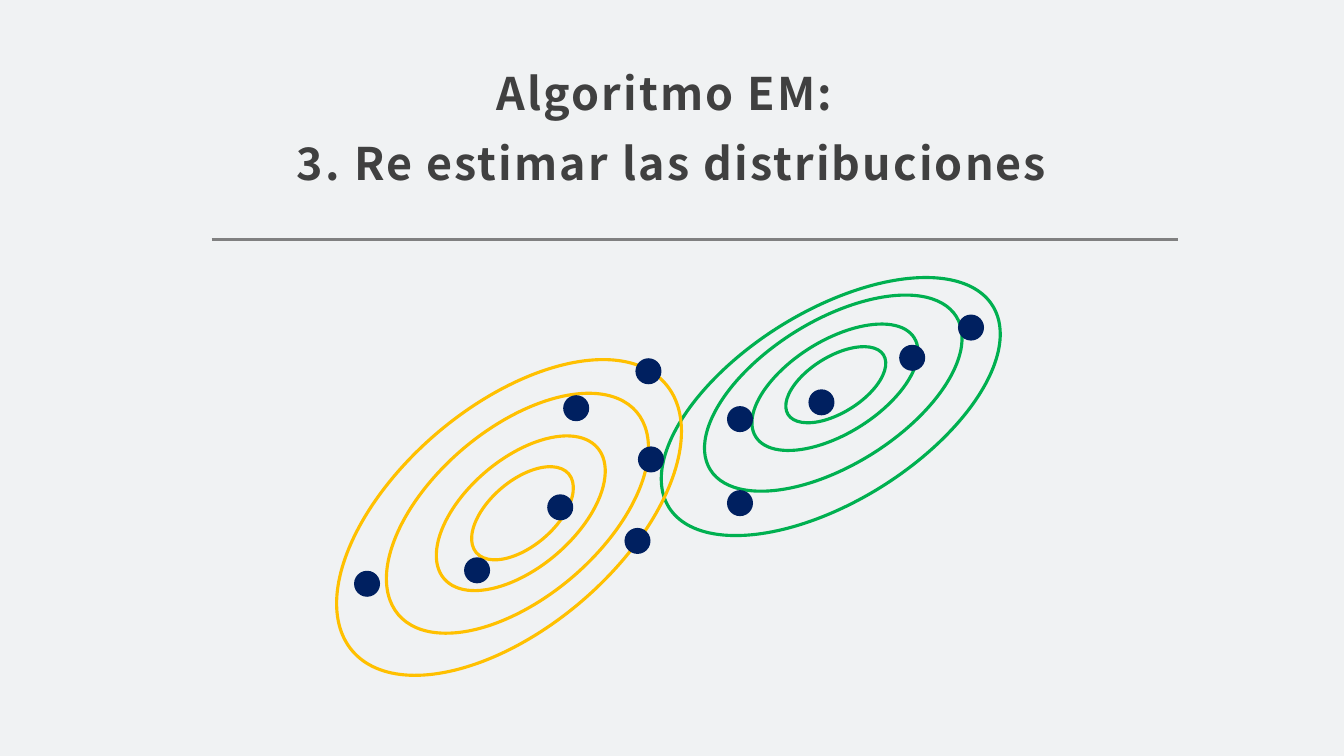
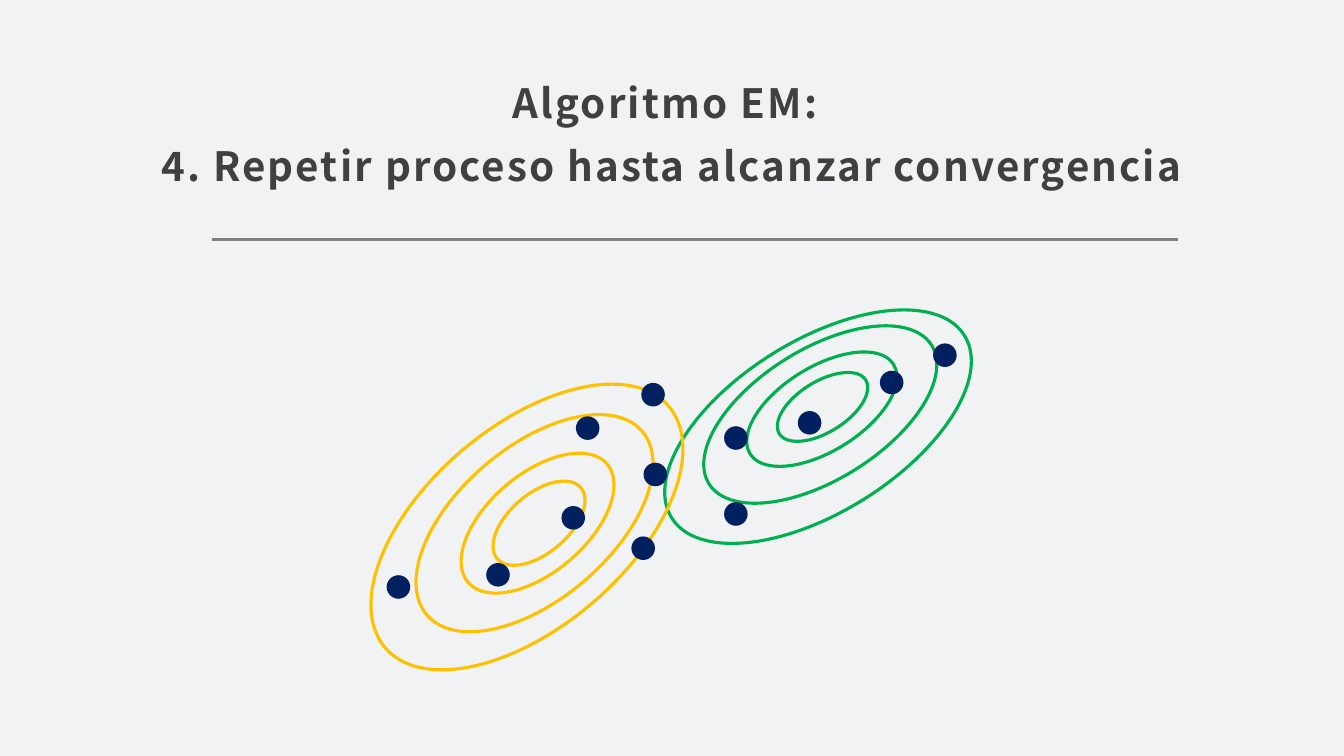
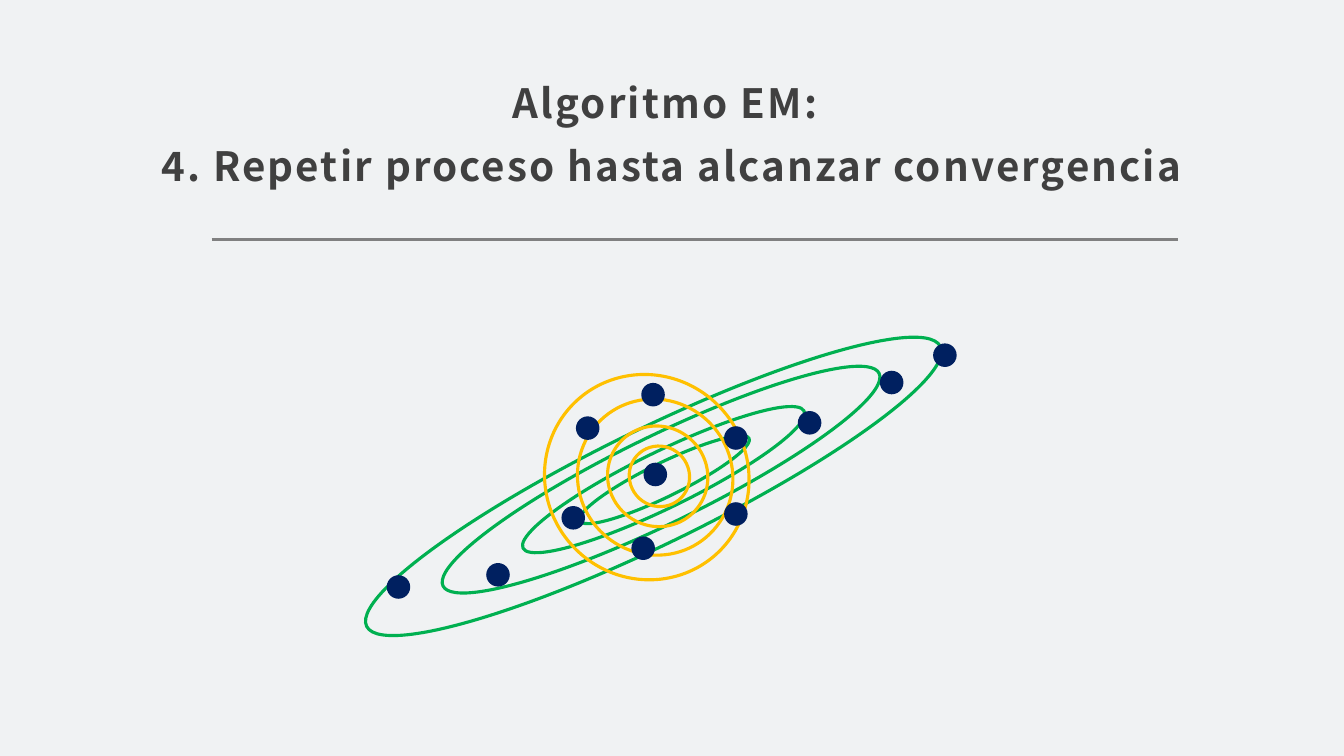
"""Build three slides on the last steps of the EM algorithm."""
from copy import deepcopy
from dataclasses import dataclass, replace
from typing import NamedTuple

from pptx import Presentation
from pptx.dml.color import RGBColor
from pptx.enum.shapes import MSO_CONNECTOR as Connector
from pptx.enum.shapes import MSO_SHAPE as Preset
from pptx.enum.text import MSO_ANCHOR as Anchor
from pptx.enum.text import MSO_AUTO_SIZE as AutoSize
from pptx.enum.text import PP_ALIGN as Align
from pptx.oxml.ns import qn
from pptx.util import Inches, Pt

COLORS = {
    "background": "F0F2F3",
    "title": "404040",
    "rule": "808080",
    "green": "00B050",
    "yellow": "FFC000",
    "point": "002060",
}
FONT = "Noto Sans CJK JP"
COLUMNS, ROWS, CELLS_PER_INCH = 160, 90, 12
TITLE_ONLY = 5
RING_SHARES = (1, 0.76, 0.49, 0.295)
POINT_SIZE = 3.1


class Spot(NamedTuple):
    column: float
    row: float


@dataclass(frozen=True)
class Cluster:
    color: str
    width: float
    height: float
    rotation: float
    centers: tuple[Spot, ...]


@dataclass(frozen=True)
class Diagram:
    clusters: tuple[Cluster, ...]
    points: tuple[Spot, ...]
    point_size: float = POINT_SIZE


@dataclass(frozen=True)
class Step:
    heading: str
    size: float
    diagram: Diagram


def spots(*pairs: tuple[float, float]) -> tuple[Spot, ...]:
    return tuple(Spot(*pair) for pair in pairs)


ESTIMATED = Diagram(
    clusters=(
        Cluster("green", 45.4, 22.6, 148.1,
                spots((98.9, 48.4), (99.2, 46.8), (99.4, 46.1), (99.5, 45.8))),
        Cluster("yellow", 26.4, 49, 229.6,
                spots((60.6, 61.6), (61.6, 61.1), (62, 61.1), (62.2, 61.1))),
    ),
    points=spots(
        (43.7, 69.5), (56.8, 67.9), (66.7, 60.4), (77.5, 54.7),
        (88.1, 49.9), (97.8, 47.9), (108.6, 42.6), (115.6, 39),
        (68.6, 48.6), (77.2, 44.2), (75.9, 64.4), (88.1, 59.9),
    ),
)
CONVERGED_CLUSTERS = (
    Cluster("green", 13.7, 76, 244,
            spots((77.8, 57.9), (78.7, 57.1), (79, 57.1), (79.1, 57.1))),
    Cluster("yellow", 24.7, 24.1, 229.6,
            spots((77, 56.8), (78, 56.8), (78.3, 56.7), (78.5, 56.7))),
)


def shrink(diagram: Diagram) -> Diagram:
    scale = 3.42 / 3.78
    shift = Spot(7.9, 7)

    def move(places: tuple[Spot, ...]) -> tuple[Spot, ...]:
        return tuple(Spot(place.column * scale + shift.column,
                          place.row * scale + shift.row) for place in places)

    clusters = tuple(
        replace(cluster, width=cluster.width * scale,
                height=cluster.height * scale, centers=move(cluster.centers))
        for cluster in diagram.clusters
    )
    return Diagram(clusters, move(diagram.points), diagram.point_size * scale)


def cells(count: float) -> int:
    return Inches(count / CELLS_PER_INCH)


def color_of(name: str) -> RGBColor:
    return RGBColor.from_string(COLORS[name])


def write_text(frame, text: str, *, size: float, color: str, bold: bool = False,
               align: Align = Align.LEFT, line_spacing: float = 1,
               letter_spacing: float = 0) -> None:
    para = frame.paragraphs[0]
    para.text = text
    para.alignment = align
    para.line_spacing = line_spacing
    for span in para.runs:
        span.font.name = FONT
        span.font.size = Pt(size)
        span.font.bold = bold
        span.font.color.rgb = color_of(color)
        span.font._element.set("spc", str(round(letter_spacing * 100)))
    for line_break in para._p.findall(qn("a:br")):
        line_break.insert(0, deepcopy(para.runs[0].font._element))


def add_title(slide, heading: str, size: float) -> None:
    title = slide.shapes.title
    title.left, title.top = cells(11.2), cells(2.3)
    title.width, title.height = cells(137.6), cells(21.5)
    frame = title.text_frame
    frame.word_wrap = True
    frame.auto_size = AutoSize.NONE
    frame.vertical_anchor = Anchor.BOTTOM
    frame.margin_left = frame.margin_right = frame.margin_top = cells(1.44)
    frame.margin_bottom = cells(1.2)
    write_text(frame, f"Algoritmo EM: \v{heading}", size=size, color="title",
               bold=True, align=Align.CENTER, line_spacing=1.3, letter_spacing=1.5)


def add_rule(slide) -> None:
    rule = slide.shapes.add_connector(
        Connector.STRAIGHT, cells(25.2), cells(28.5), cells(140.3), cells(28.5))
    rule.line.color.rgb = color_of("rule")
    rule.line.width = Pt(2)
    properties = rule.element.spPr
    properties.append(properties.makeelement(qn("a:effectLst"), {}))


def add_ellipse(group, center: Spot, width: float, height: float):
    ellipse = group.shapes.add_shape(
        Preset.OVAL, cells(center.column - width / 2),
        cells(center.row - height / 2), cells(width), cells(height))
    ellipse.shadow.inherit = False
    return ellipse


def add_cluster(slide, cluster: Cluster) -> None:
    group = slide.shapes.add_group_shape()
    for center, share in zip(cluster.centers, RING_SHARES):
        ring = add_ellipse(group, center, cluster.width * share,
                           cluster.height * share)
        ring.rotation = cluster.rotation
        ring.fill.background()
        ring.line.color.rgb = color_of(cluster.color)
        ring.line.width = Pt(2.25)


def add_points(slide, diagram: Diagram) -> None:
    group = slide.shapes.add_group_shape()
    for center in diagram.points:
        point = add_ellipse(group, center, diagram.point_size, diagram.point_size)
        point.fill.solid()
        point.fill.fore_color.rgb = color_of("point")
        point.line.fill.background()


def add_step(deck, step: Step) -> None:
    slide = deck.slides.add_slide(deck.slide_layouts[TITLE_ONLY])
    add_rule(slide)
    add_title(slide, step.heading, step.size)
    for cluster in step.diagram.clusters:
        add_cluster(slide, cluster)
    add_points(slide, step.diagram)


def main() -> None:
    deck = Presentation()
    deck.slide_width, deck.slide_height = cells(COLUMNS), cells(ROWS)
    background = deck.slide_master.background.fill
    background.solid()
    background.fore_color.rgb = color_of("background")

    repeated = shrink(ESTIMATED)
    converged = replace(repeated, clusters=CONVERGED_CLUSTERS)
    repeat_heading = "4. Repetir proceso hasta alcanzar convergencia"
    for step in (
        Step("3. Re estimar las distribuciones", 32, ESTIMATED),
        Step(repeat_heading, 28.8, repeated),
        Step(repeat_heading, 28.8, converged),
    ):
        add_step(deck, step)
    deck.save("out.pptx")


if __name__ == "__main__":
    main()
